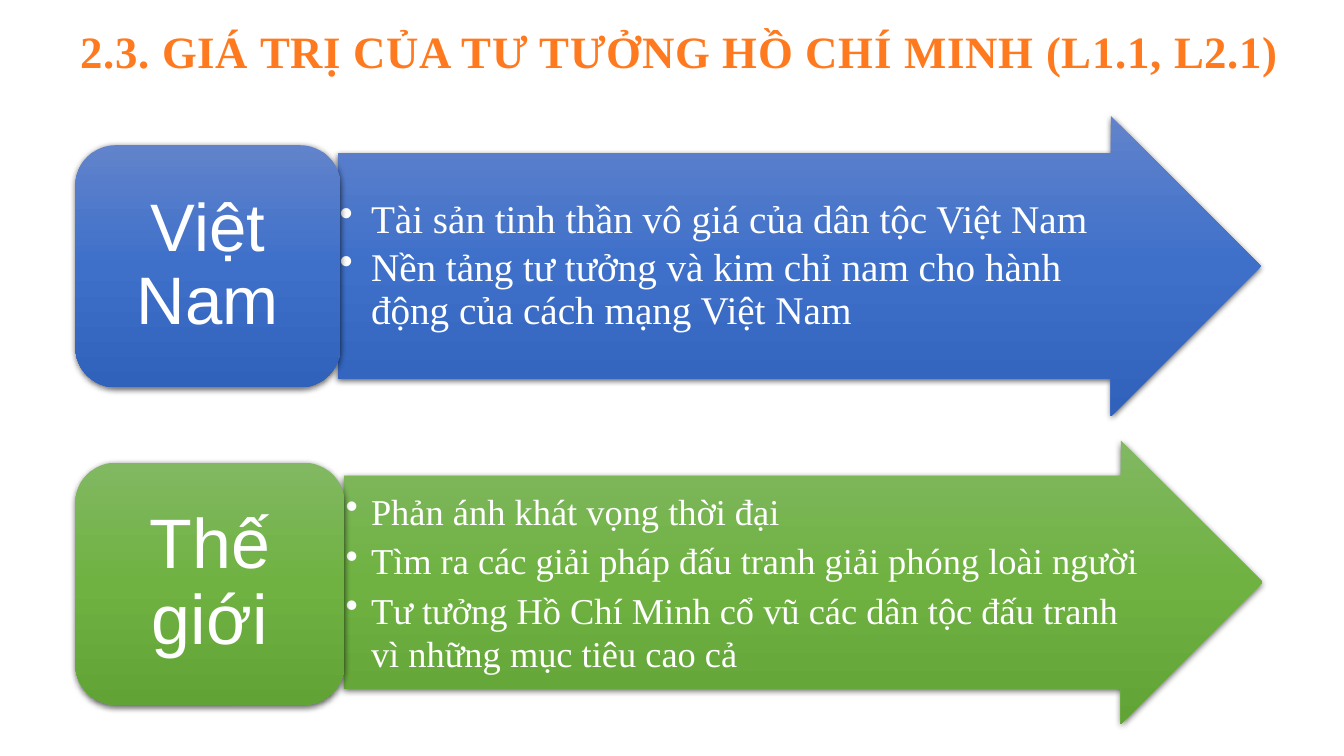
from copy import deepcopy

from lxml.etree import SubElement
from pptx import Presentation
from pptx.dml.color import RGBColor
from pptx.enum.shapes import MSO_SHAPE
from pptx.enum.text import MSO_ANCHOR, PP_ALIGN
from pptx.oxml.ns import qn
from pptx.util import Cm, Pt

WHITE = "FFFFFF"
ORANGE = "FF7A1F"
BLUES = ("6183CB", "3E70CA", "3062BB")
GREENS = ("81B861", "6FB242", "62A336")
SERIF = "Times New Roman"
SANS = "Arial"


def color(hex_string):
    return RGBColor.from_string(hex_string)


def add_element(parent, tag, **attributes):
    return SubElement(parent, qn(tag), {name: str(value) for name, value in attributes.items()})


def fill_gradient(shape, colors):
    shape.fill.gradient()
    shape.fill.gradient_angle = 270
    stop_list = shape._element.spPr.find(".//" + qn("a:gsLst"))
    stop_list.insert(1, deepcopy(stop_list[0]))
    for stop, position, hex_string in zip(shape.fill.gradient_stops, (0, 0.5, 1), colors):
        stop.color.rgb = color(hex_string)
        stop.position = position


def add_shadow(shape):
    shape.shadow.inherit = False
    effects = shape._element.spPr.find(qn("a:effectLst"))
    shadow = add_element(effects, "a:outerShdw", blurRad=Pt(4.5), dist=Pt(1.5),
                         dir=5400000, algn="ctr", rotWithShape=0)
    black = add_element(shadow, "a:srgbClr", val="000000")
    add_element(black, "a:alpha", val=63000)


def add_panel(slide, kind, box, colors):
    shape = slide.shapes.add_shape(kind, *map(Cm, box))
    fill_gradient(shape, colors)
    shape.line.fill.background()
    add_shadow(shape)
    return shape


def add_text(slide, box, lines, font_name, size, hex_string, margins=(0.25, 0.13)):
    text_box = slide.shapes.add_textbox(*map(Cm, box))
    text_frame = text_box.text_frame
    text_frame.word_wrap = True
    text_frame.margin_left = text_frame.margin_right = Cm(margins[0])
    text_frame.margin_top = text_frame.margin_bottom = Cm(margins[1])
    text_frame.text = "\n".join(lines)
    for paragraph in text_frame.paragraphs:
        for run in paragraph.runs:
            run.font.name = font_name
            run.font.size = Pt(size)
            run.font.color.rgb = color(hex_string)
    return text_frame


def space_after_percent(paragraph, percent):
    paragraph.space_after = Pt(0)
    spacing = paragraph._p.pPr.find(qn("a:spcAft"))
    spacing.remove(spacing[0])
    add_element(spacing, "a:spcPct", val=percent * 1000)


def add_bullet(paragraph, indent):
    properties = paragraph._p.get_or_add_pPr()
    properties.set("marL", str(Cm(indent)))
    properties.set("indent", str(-Cm(indent)))
    add_element(properties, "a:buChar", char="•")


def add_title(slide, text):
    text_frame = add_text(slide, (1.45, 0.48, 31.37, 1.63), [text], SERIF, 32, ORANGE)
    paragraph = text_frame.paragraphs[0]
    paragraph.alignment = PP_ALIGN.CENTER
    run = paragraph.runs[0]
    run.font.bold = True
    run._r.get_or_add_rPr().set("spc", "50")


def add_arrow(slide, box, colors, lines, size, indent, line_spacing):
    arrow = add_panel(slide, MSO_SHAPE.RIGHT_ARROW, box, colors)
    arrow.adjustments[0] = 0.75
    arrow.adjustments[1] = 0.5
    left, top, width, height = box
    text_area = (left, top + height / 8, width - height * 0.375, height * 0.75)
    text_frame = add_text(slide, text_area, lines, SERIF, size, WHITE, (0.05, 0.05))
    text_frame.vertical_anchor = MSO_ANCHOR.MIDDLE
    for paragraph in text_frame.paragraphs:
        paragraph.level = 1
        paragraph.line_spacing = line_spacing
        space_after_percent(paragraph, 15)
        add_bullet(paragraph, indent)


def add_card(slide, box, colors, label, size):
    add_panel(slide, MSO_SHAPE.ROUNDED_RECTANGLE, box, colors)
    left, top, width, height = box
    inset = 0.3
    text_area = (left + inset, top + inset, width - 2 * inset, height - 2 * inset)
    text_frame = add_text(slide, text_area, [label], SANS, size, WHITE, (0.52, 0.25))
    text_frame.vertical_anchor = MSO_ANCHOR.MIDDLE
    paragraph = text_frame.paragraphs[0]
    paragraph.alignment = PP_ALIGN.CENTER
    paragraph.line_spacing = 0.9
    space_after_percent(paragraph, 35)


def main():
    presentation = Presentation()
    presentation.slide_width = Cm(33.87)
    presentation.slide_height = Cm(19.05)
    slide = presentation.slides.add_slide(presentation.slide_layouts[6])

    add_title(slide, "2.3. GIÁ TRỊ CỦA TƯ TƯỞNG HỒ CHÍ MINH (L1.1, L2.1)")

    add_arrow(slide, (8.51, 2.92, 23.27, 7.57), BLUES, [
        "Tài sản tinh thần vô giá của dân tộc Việt Nam",
        "Nền tảng tư tưởng và kim chỉ nam cho hành động của cách mạng Việt Nam",
    ], size=28, indent=0.79, line_spacing=0.9)
    add_card(slide, (1.9, 3.66, 6.68, 6.1), BLUES, "Việt Nam", 48)

    add_arrow(slide, (8.66, 11.1, 23.16, 7.14), GREENS, [
        "Phản ánh khát vọng thời đại",
        "Tìm ra các giải pháp đấu tranh giải phóng loài người",
        "Tư tưởng Hồ Chí Minh cổ vũ các dân tộc đấu tranh vì những mục tiêu cao cả",
    ], size=26, indent=0.64, line_spacing=1.0)
    add_card(slide, (1.9, 11.66, 6.78, 6.1), GREENS, "Thế giới", 50)

    presentation.save("out.pptx")


if __name__ == "__main__":
    main()
